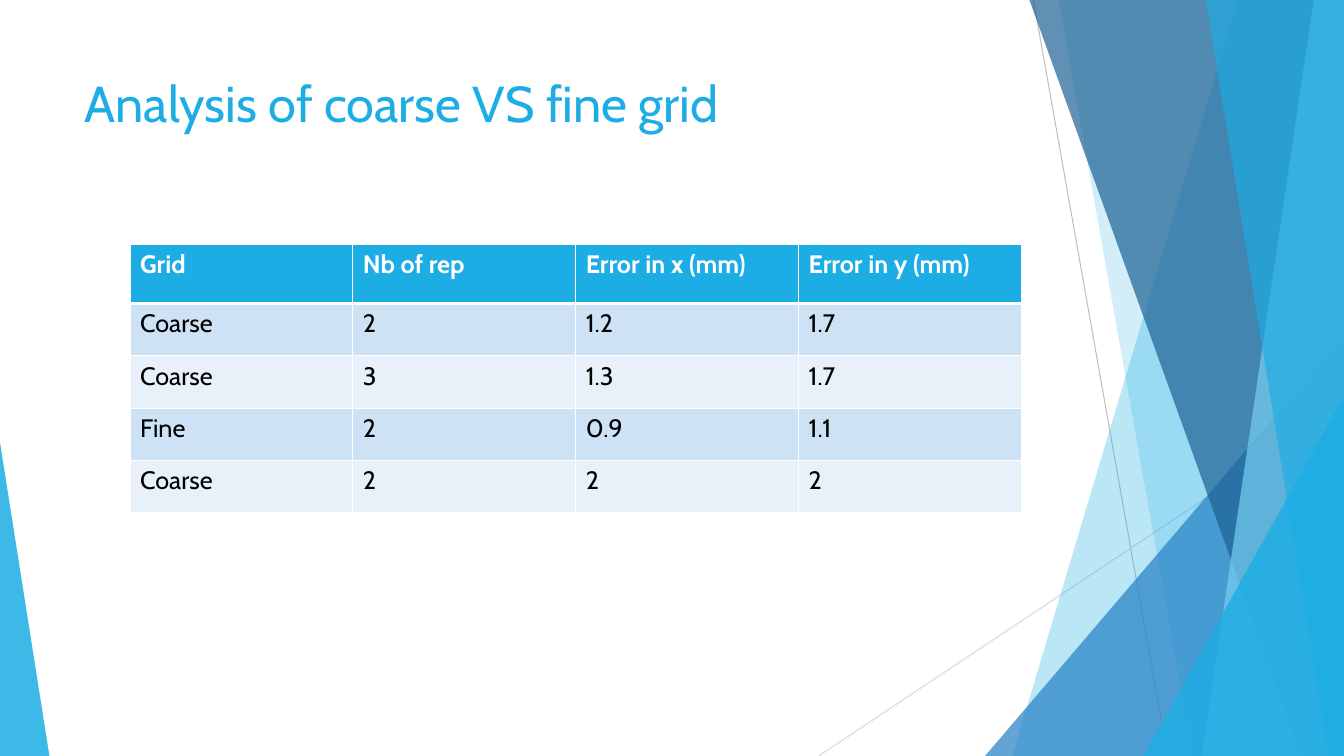
import pptx
import pptx.util
from lxml import etree
from pptx.dml.color import RGBColor
from pptx.enum.shapes import MSO_CONNECTOR, MSO_SHAPE
from pptx.enum.text import MSO_ANCHOR, PP_ALIGN
from pptx.oxml import ns

PX = 9144  # EMU in one px, 100 px to the inch
SLIDE_WIDTH, SLIDE_HEIGHT = 1333, 750


class Theme:
    font = "Cabin"
    title_size, table_size = 36, 18
    accent, blue, navy, sky = "1CADE4", "2683C6", "1D6294", "77CEEF"
    white, black = "FFFFFF", "000000"
    bands = ("CDE3F5", "E8F1FA")
    line_width, border, header_border = 0.75, 1, 3


TITLE = "Analysis of coarse VS fine grid"
TITLE_BOX = (74, 67, 940, 144)

TABLE_ROWS = [
    ("Grid", "Nb of rep", "Error in x (mm)", "Error in y (mm)"),
    ("Coarse", "2", "1.2", "1.7"),
    ("Coarse", "3", "1.3", "1.7"),
    ("Fine", "2", "0.9", "1.1"),
    ("Coarse", "2", "2", "2"),
]
TABLE_LEFT, TABLE_TOP, COLUMN_WIDTH = 129, 242, 221
HEADER_HEIGHT, ROW_HEIGHT = 59, 52

# x1, y1, x2, y2, colour
HAIRLINES = [
    (1025, 0, 1158, SLIDE_HEIGHT, "BFBFBF"),
    (SLIDE_WIDTH, 403, 812, SLIDE_HEIGHT, "D9D9D9"),
]

# Back to front. A band runs from its slanted left side to the right slide edge:
# ("band", top x, bottom x, colour, opacity %)
# A corner stands on the bottom edge with its apex at one end:
# ("corner", left, top, width, apex position, colour, opacity %)
FACETS = [
    ("band", 1228, 1004, Theme.accent, 30),
    ("band", 1050, 1183, Theme.accent, 20),
    ("corner", 977, 333, 356, 1, Theme.blue, 72),
    ("band", 1021, 1291, Theme.navy, 70),
    ("band", 1303, 1192, Theme.sky, 70),
    ("band", 1196, 1318, Theme.accent, 65),
    ("corner", 1134, 393, 199, 1, Theme.accent, 80),
    ("corner", 0, 439, 49, 0, Theme.accent, 85),
]


def emu(*lengths):
    return [length * PX for length in lengths]


def rgb(colour):
    return RGBColor.from_string(colour)


def style_text(paragraph, size, colour, bold=False):
    font = paragraph.font
    font.name, font.bold = Theme.font, bold
    font.size = pptx.util.Pt(size)
    font.color.rgb = rgb(colour)


def paint(shape, colour, opacity):
    shape.shadow.inherit = False
    shape.line.fill.background()
    shape.fill.solid()
    shape.fill.fore_color.rgb = rgb(colour)
    colour_node = shape._element.spPr.find(ns.qn("a:solidFill"))[0]
    etree.SubElement(colour_node, ns.qn("a:alpha"), val=str(opacity * 1000))


def add_hairline(slide, x1, y1, x2, y2, colour):
    line = slide.shapes.add_connector(MSO_CONNECTOR.STRAIGHT, *emu(x1, y1, x2, y2))
    line.line.color.rgb = rgb(colour)
    line.line.width = pptx.util.Pt(Theme.line_width)
    etree.SubElement(line._element.spPr, ns.qn("a:effectLst"))


def add_band(slide, top_x, bottom_x, colour, opacity):
    builder = slide.shapes.build_freeform(top_x, 0, scale=PX)
    builder.add_line_segments([(SLIDE_WIDTH, 0), (SLIDE_WIDTH, SLIDE_HEIGHT),
                               (bottom_x, SLIDE_HEIGHT)], close=True)
    paint(builder.convert_to_shape(), colour, opacity)


def add_corner(slide, left, top, width, apex, colour, opacity):
    box = emu(left, top, width, SLIDE_HEIGHT - top)
    corner = slide.shapes.add_shape(MSO_SHAPE.ISOSCELES_TRIANGLE, *box)
    corner.adjustments[0] = apex
    paint(corner, colour, opacity)


def set_borders(cell, widths):
    """Draw white borders; widths maps the sides L, R, T, B to points."""
    properties = cell._tc.get_or_add_tcPr()
    for side, width in widths.items():
        line = etree.SubElement(properties, ns.qn(f"a:ln{side}"),
                                w=str(pptx.util.Pt(width)))
        fill = etree.SubElement(line, ns.qn("a:solidFill"))
        etree.SubElement(fill, ns.qn("a:srgbClr"), val=Theme.white)


def add_title(slide):
    title = slide.shapes.title
    title.left, title.top, title.width, title.height = emu(*TITLE_BOX)
    frame = title.text_frame
    frame.text = TITLE
    frame.word_wrap = True
    frame.vertical_anchor = MSO_ANCHOR.TOP
    paragraph = frame.paragraphs[0]
    paragraph.alignment = PP_ALIGN.LEFT
    style_text(paragraph, Theme.title_size, Theme.accent)


def add_results_table(slide):
    row_count, column_count = len(TABLE_ROWS), len(TABLE_ROWS[0])
    heights = [HEADER_HEIGHT] + [ROW_HEIGHT] * (row_count - 1)
    box = emu(TABLE_LEFT, TABLE_TOP, COLUMN_WIDTH * column_count, sum(heights))
    table = slide.shapes.add_table(row_count, column_count, *box).table
    for row, height in zip(table.rows, heights):
        row.height = height * PX
    for r, values in enumerate(TABLE_ROWS):
        header = r == 0
        fill = Theme.accent if header else Theme.bands[(r - 1) % 2]
        widths = dict.fromkeys("LRTB", Theme.border)
        if r < 2:
            widths["B" if header else "T"] = Theme.header_border
        for c, value in enumerate(values):
            cell = table.cell(r, c)
            cell.text = value
            set_borders(cell, widths)
            cell.fill.solid()
            cell.fill.fore_color.rgb = rgb(fill)
            style_text(cell.text_frame.paragraphs[0], Theme.table_size,
                       Theme.white if header else Theme.black, header)


def main():
    presentation = pptx.Presentation()
    presentation.slide_width, presentation.slide_height = emu(SLIDE_WIDTH, SLIDE_HEIGHT)
    slide = presentation.slides.add_slide(presentation.slide_layouts.get_by_name("Title Only"))
    for hairline in HAIRLINES:
        add_hairline(slide, *hairline)
    draw = {"band": add_band, "corner": add_corner}
    for kind, *facet in FACETS:
        draw[kind](slide, *facet)
    add_title(slide)
    add_results_table(slide)
    presentation.save("out.pptx")


if __name__ == "__main__":
    main()
